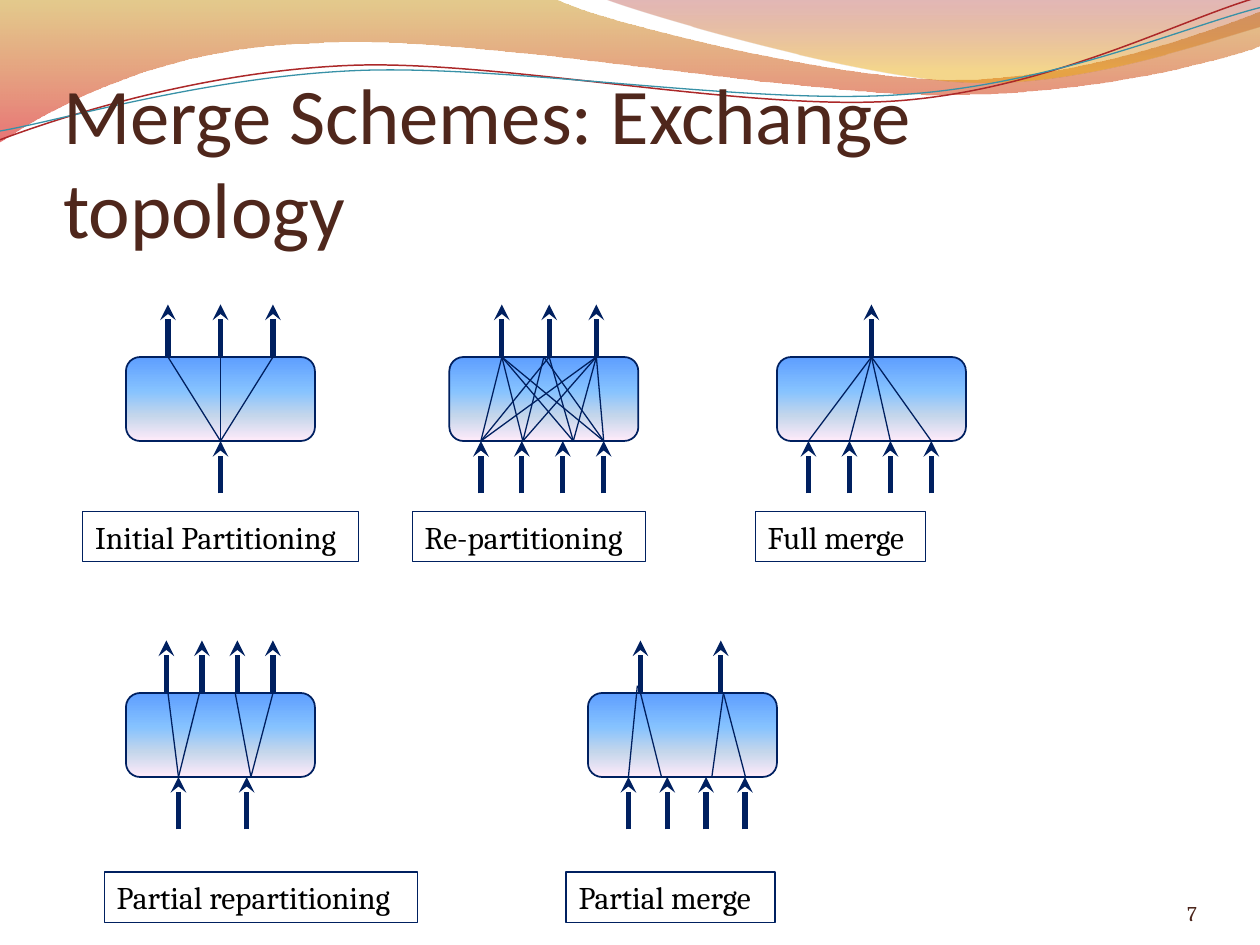
from dataclasses import dataclass
from math import cos, radians, sin
from typing import NamedTuple

from lxml.etree import SubElement
from pptx import Presentation
from pptx.dml.color import RGBColor
from pptx.enum.shapes import MSO_CONNECTOR, MSO_SHAPE
from pptx.enum.text import MSO_ANCHOR, MSO_AUTO_SIZE, PP_ALIGN
from pptx.oxml.ns import qn
from pptx.util import Inches, Pt

COLS, ROWS = 120, 90  # slide grid; one cell is 1/12 inch
BOX_W, BOX_H, ARROW = 18, 8, 5

COLORS = {
    "navy": "002060", "title": "4F271C", "number": "4B251B", "text": "000000",
    "red": "AC2829", "teal": "3891A7",
}
# Gradient stops: position %, colour, opacity %
BOX_STOPS = [(0, "5E9EFF", 100), (40, "85C2FF", 100), (70, "C4D6EB", 100), (100, "FFEBFA", 100)]
LEFT_STOPS = [(0, "C38B00", 45), (100, "D60305", 55)]
RIGHT_STOPS = [(0, "A11112", 30), (80, "E9A600", 45)]


class Link(NamedTuple):
    """Thin line from the lower to the upper edge, in columns from the box's left."""
    bottom: float
    top: float
    rise: float = 0


class Label(NamedTuple):
    text: str
    col: float
    row: float
    width: float


@dataclass
class Scheme:
    """Exchange box with its arrow columns counted from the box's left."""
    col: float
    row: float
    outputs: list[float]
    inputs: list[float]
    links: list[Link]
    label: Label


@dataclass
class Wave:
    """Frame (left, top, width, height), start and curve or straight segments, in inches."""
    frame: tuple
    start: tuple
    segments: list[tuple]
    stops: list[tuple] | None = None
    color: str | None = None
    width: float = 0
    rotation: float = 0


WAVES = [
    Wave((-0.01, -0.01, 10.02, 1.14), (0, 0), [
        (4.4, -0.01), (4.76, 0.17, 6.64, 0.63, 7.58, 0.63), (8.53, 0.63, 9.58, 0.26, 10, 0.09),
        (10.01, 0.36), (9.83, 0.44, 8.7, 0.76, 7.46, 0.75), (6.22, 0.75, 3.82, 0.28, 2.57, 0.34),
        (1.29, 0.36, 0.46, 0.83, -0.01, 1.13), (0, 0)], stops=LEFT_STOPS),
    Wave((4.79, -0.01, 5.21, 0.7), (4.79, -0.01), [
        (5.09, 0.11, 6.82, 0.62, 7.69, 0.65), (8.56, 0.69, 9.61, 0.32, 10, 0.21), (10, 0),
        (4.79, -0.01)], stops=RIGHT_STOPS),
    Wave((-0.02, 0.22, 10.02, 0.71), (0, 1.11), [
        (0.48, 0.93, 1.58, 0.57, 2.77, 0.52), (3.95, 0.47, 5.93, 0.89, 7.13, 0.8),
        (8.33, 0.71, 9.38, 0.15, 9.98, -0.02)], color="red", width=0.85, rotation=-2.7),
    Wave((-0.02, 0.3, 10.03, 0.58), (0, 1.04), [
        (0.47, 0.96, 1.64, 0.61, 2.83, 0.56), (4.03, 0.51, 5.97, 0.84, 7.17, 0.75),
        (8.36, 0.67, 9.41, 0.21, 10, 0.06)], color="teal", width=0.75, rotation=-2.7),
]


def steps(first: float, gap: float, count: int = 4) -> list[float]:
    return [first + gap * i for i in range(count)]


SCHEMES = [
    Scheme(12, 34, steps(4, 5, 3), [9], [Link(9, top) for top in steps(4, 5, 3)],
           Label("Initial Partitioning", 7.88, 48.72, 26.3)),
    Scheme(42.8, 34, steps(5, 4.5, 3), steps(3, 3.9),
           [Link(bottom, top) for bottom, middle in ((3, 9.5), (7, 9), (11.8, 9.5), (14.7, 9))
            for top in (5, middle, 14)],
           Label("Re-partitioning", 39.26, 48.72, 22.2)),
    Scheme(74, 34, [9], steps(3, 3.9), [Link(bottom, 9) for bottom in steps(3, 3.9)],
           Label("Full merge", 71.92, 48.72, 16.2)),
    Scheme(12, 66, steps(3.85, 3.38), [5, 11.5],
           [Link(5, 4), Link(5, 7), Link(11.9, 10.4), Link(11.9, 14)],
           Label("Partial repartitioning", 9.94, 83.04, 29.8)),
    Scheme(56, 66, [5, 12.65], steps(3.85, 3.7),
           [Link(3.85, 4.7, 0.7), Link(7, 5), Link(11.8, 12.9), Link(15, 12.9)],
           Label("Partial merge", 53.92, 83.04, 19.9)),
]


def rgb(name: str) -> RGBColor:
    return RGBColor.from_string(COLORS[name])


def cells(*values: float) -> list[int]:
    return [Inches(v / 12) for v in values]


def fill_gradient(sp, stops: list[tuple]) -> None:
    """Vertical gradient with per-stop opacity."""
    sp.fill.gradient()
    grad = sp.element.spPr.find(qn("a:gradFill"))
    for child in list(grad):
        grad.remove(child)
    gs_list = SubElement(grad, qn("a:gsLst"))
    for position, color, opacity in stops:
        gs = SubElement(gs_list, qn("a:gs"), pos=str(position * 1000))
        clr = SubElement(gs, qn("a:srgbClr"), val=color)
        if opacity < 100:
            SubElement(clr, qn("a:alpha"), val=str(opacity * 1000))
    SubElement(grad, qn("a:lin"), ang="5400000", scaled="0")


def add_step(outline, wave: Wave, tag: str, coords: tuple) -> None:
    """Path step in the wave's unrotated frame."""
    left, top, width, height = wave.frame
    turn = radians(-wave.rotation)
    step = SubElement(outline, qn(tag))
    for x, y in zip(coords[::2], coords[1::2]):
        dx, dy = x - left - width / 2, y - top - height / 2
        px = dx * cos(turn) - dy * sin(turn) + width / 2
        py = dx * sin(turn) + dy * cos(turn) + height / 2
        SubElement(step, qn("a:pt"), x=str(Inches(px)), y=str(Inches(py)))


def draw_wave(s, wave: Wave) -> None:
    builder = s.shapes.build_freeform(*wave.start, scale=Inches(1))
    builder.add_line_segments([seg[-2:] for seg in wave.segments], close=False)
    sp = builder.convert_to_shape()
    sp.left, sp.top, sp.width, sp.height = [Inches(v) for v in wave.frame]
    sp.rotation = wave.rotation
    outline = next(sp.element.iter(qn("a:path")))
    for child in list(outline):
        outline.remove(child)
    outline.set("w", str(sp.width))
    outline.set("h", str(sp.height))
    add_step(outline, wave, "a:moveTo", wave.start)
    for seg in wave.segments:
        add_step(outline, wave, "a:cubicBezTo" if len(seg) == 6 else "a:lnTo", seg)
    sp.shadow.inherit = False
    if wave.stops:
        SubElement(outline, qn("a:close"))
        fill_gradient(sp, wave.stops)
        sp.line.fill.background()
    else:
        sp.fill.background()
        sp.line.color.rgb = rgb(wave.color)
        sp.line.width = Pt(wave.width)


def draw_line(s, x1: float, y1: float, x2: float, y2: float, width: float, arrow=False) -> None:
    cx = s.shapes.add_connector(MSO_CONNECTOR.STRAIGHT, *cells(x1, y1, x2, y2))
    cx.line.color.rgb = rgb("navy")
    cx.line.width = Pt(width)
    if arrow:
        SubElement(cx.element.spPr.find(qn("a:ln")), qn("a:tailEnd"), type="stealth")
    SubElement(cx.element.spPr, qn("a:effectLst"))


def format_text(tf, size: float, font: str, color: str) -> None:
    for r in tf.paragraphs[0].runs:
        r.font.size, r.font.name = Pt(size), font
        r.font.color.rgb = rgb(color)


def draw_label(s, label: Label) -> None:
    sp = s.shapes.add_textbox(*cells(label.col, label.row, label.width, 4.8))
    sp.line.color.rgb = rgb("navy")
    sp.line.width = Pt(0.75)
    tf = sp.text_frame
    tf.text = label.text
    tf.word_wrap = False
    tf.auto_size = MSO_AUTO_SIZE.SHAPE_TO_FIT_TEXT
    format_text(tf, 18, "Cambria", "text")


def draw_scheme(s, scheme: Scheme) -> None:
    col, top, bottom = scheme.col, scheme.row, scheme.row + BOX_H
    sp = s.shapes.add_shape(MSO_SHAPE.ROUNDED_RECTANGLE, *cells(col, top, BOX_W, BOX_H))
    sp.shadow.inherit = False
    fill_gradient(sp, BOX_STOPS)
    sp.line.color.rgb = rgb("navy")
    sp.line.width = Pt(1)
    for x in scheme.outputs:
        draw_line(s, col + x, top, col + x, top - ARROW, 3, arrow=True)
    for x in scheme.inputs:
        draw_line(s, col + x, bottom + ARROW, col + x, bottom, 3, arrow=True)
    for link in scheme.links:
        draw_line(s, col + link.bottom, bottom, col + link.top, top - link.rise, 0.75)


def set_frame(tf, align, top_inset: float = 0) -> None:
    """Wrapped, bottom-anchored text without side insets."""
    tf.word_wrap, tf.auto_size = True, MSO_AUTO_SIZE.NONE
    tf.vertical_anchor = MSO_ANCHOR.BOTTOM
    tf.margin_left = tf.margin_right = tf.margin_bottom = 0
    tf.margin_top = Inches(top_inset)
    tf.paragraphs[0].alignment = align


def main() -> None:
    prs = Presentation()
    prs.slide_width, prs.slide_height = cells(COLS, ROWS)
    s = prs.slides.add_slide(prs.slide_layouts[5])
    for wave in WAVES:
        draw_wave(s, wave)

    title = s.shapes.title
    title.left, title.top, title.width, title.height = cells(6, 9.25, 108, 15)
    title.text_frame.text = "Merge Schemes: Exchange topology"
    set_frame(title.text_frame, PP_ALIGN.LEFT, 0.05)
    format_text(title.text_frame, 45, "Calibri", "title")
    title.element.getparent().append(title.element)  # in front of the waves

    for scheme in SCHEMES:
        draw_scheme(s, scheme)
    for scheme in SCHEMES:
        draw_label(s, scheme.label)

    number = s.shapes.add_textbox(*cells(104, 83.4, 10, 4.8)).text_frame
    number.text = "7"
    set_frame(number, PP_ALIGN.RIGHT)
    format_text(number, 12, "Cambria", "number")
    prs.save("out.pptx")


if __name__ == "__main__":
    main()
